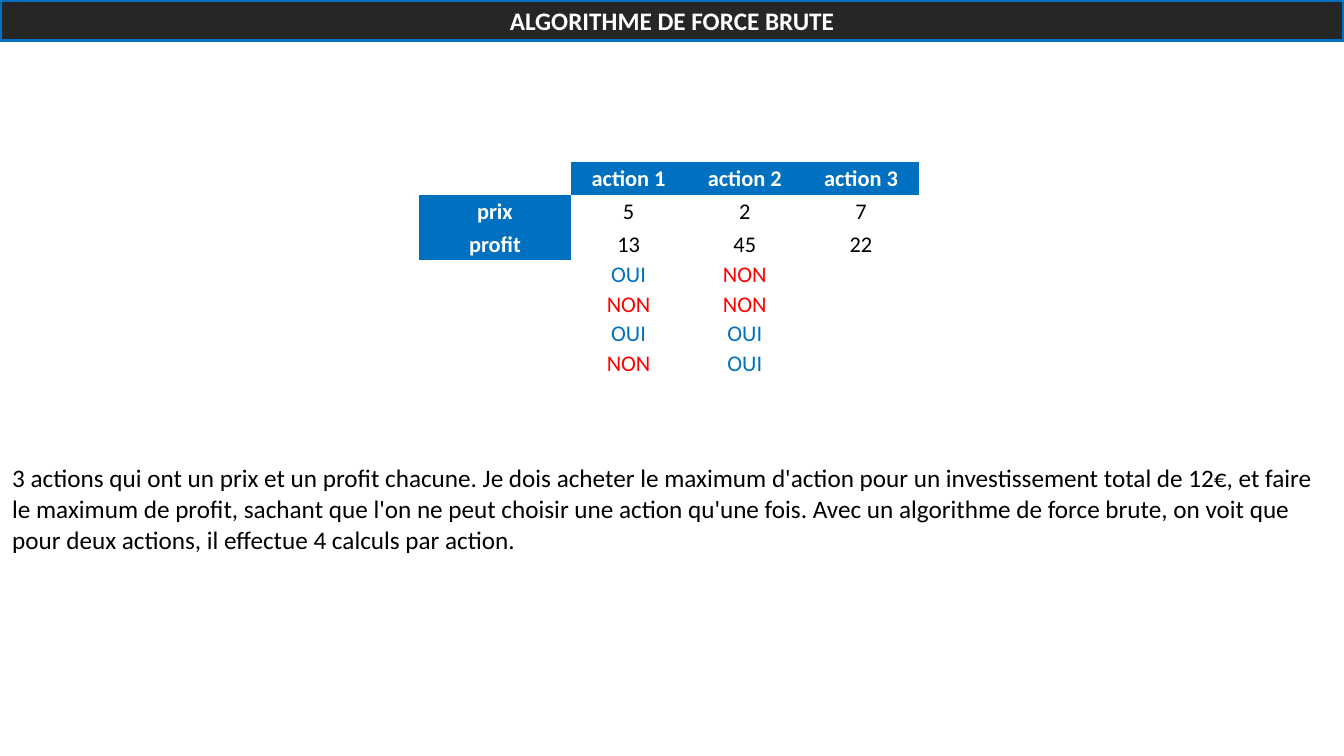
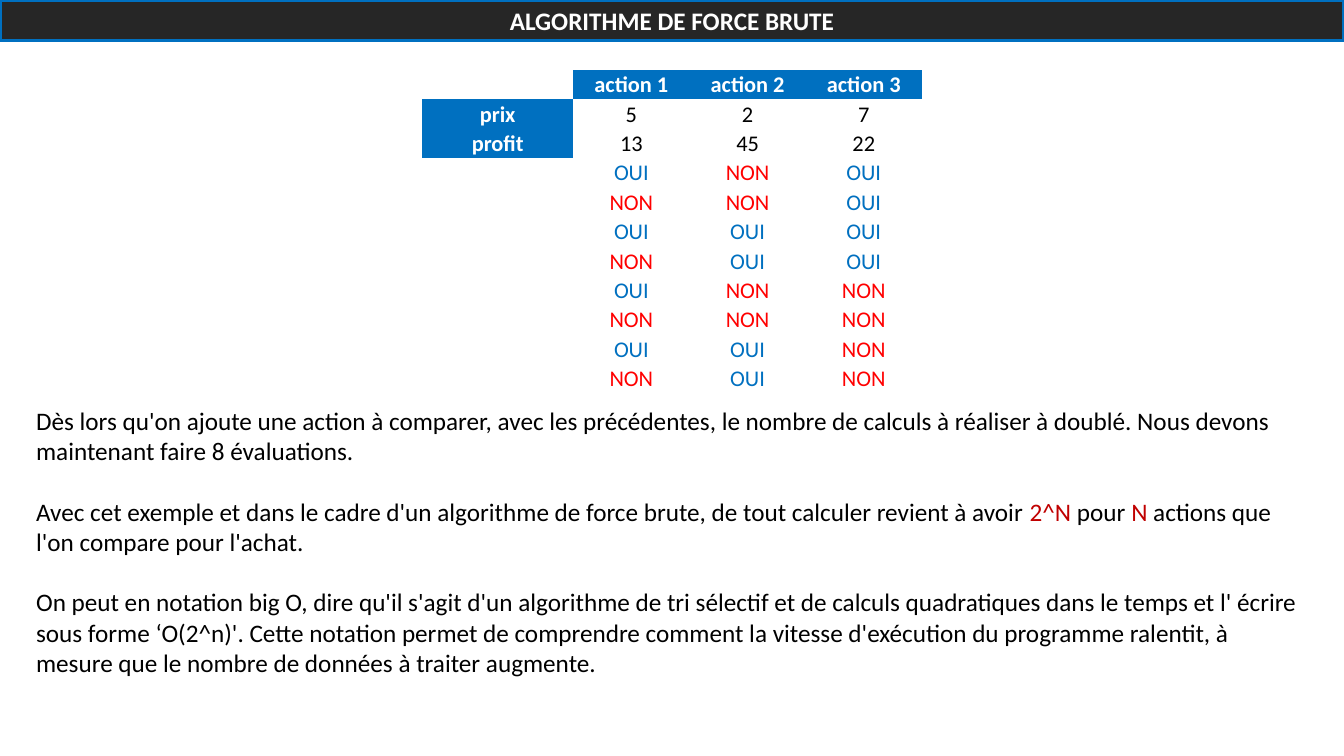
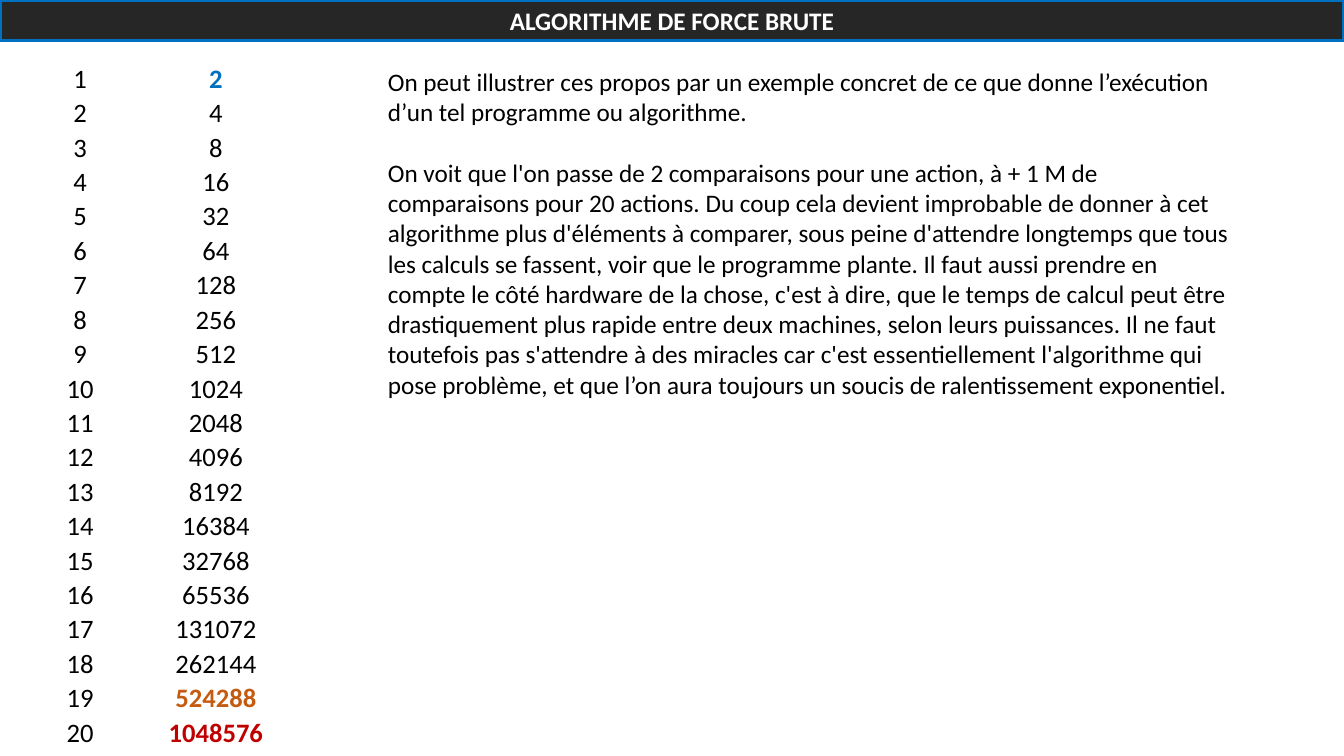
from itertools import product
from typing import NamedTuple, Optional

from pptx import Presentation
from pptx.dml.color import RGBColor
from pptx.enum.text import MSO_ANCHOR, MSO_AUTO_SIZE, PP_ALIGN
from pptx.oxml.ns import qn
from pptx.util import Pt

FONT = "Calibri"
BLACK = RGBColor(0x00, 0x00, 0x00)
WHITE = RGBColor(0xFF, 0xFF, 0xFF)
CHARCOAL = RGBColor(0x26, 0x26, 0x26)
BLUE = RGBColor(0x00, 0x70, 0xC0)
RED = RGBColor(0xFF, 0x00, 0x00)
DARK_RED = RGBColor(0xC0, 0x00, 0x00)
ORANGE = RGBColor(0xC5, 0x5A, 0x11)

SLIDE_WIDTH = 960
SLIDE_HEIGHT = 540
BODY_SIZE = 18
PLAIN_TABLE_STYLE = "{2D5ABB26-0587-4C30-8999-92F81FD0307C}"
TITLE_ONLY_LAYOUT = 5

TITLE = "ALGORITHME DE FORCE BRUTE"
CHOICE_COLORS = {"OUI": BLUE, "NON": RED}
ACTION_COLUMNS = [108, 83, 83, 83]

PROBLEM = (
    "3 actions qui ont un prix et un profit chacune. Je dois acheter le maximum "
    "d'action pour un investissement total de 12€, et faire le maximum de profit, "
    "sachant que l'on ne peut choisir une action qu'une fois. Avec un algorithme de "
    "force brute, on voit que pour deux actions, il effectue 4 calculs par action."
)
# Each paragraph is a list of (text, colour) runs.
GROWTH = [
    [("Dès lors qu'on ajoute une action à comparer, avec les précédentes, le nombre "
      "de calculs à réaliser à doublé. Nous devons maintenant faire 8 évaluations.",
      BLACK)],
    [("Avec cet exemple et dans le cadre d'un algorithme de force brute, de tout "
      "calculer revient à avoir ", BLACK),
     ("2^N", DARK_RED), (" pour ", BLACK), ("N", DARK_RED),
     (" actions que l'on compare pour l'achat.", BLACK)],
    [("On peut en notation big O, dire qu'il s'agit d'un algorithme de tri sélectif "
      "et de calculs quadratiques dans le temps et l' écrire sous forme ‘O(2^n)'. "
      "Cette notation permet de comprendre comment la vitesse d'exécution du "
      "programme ralentit, à mesure que le nombre de données à traiter augmente.",
      BLACK)],
]
EXAMPLE = [
    [("On peut illustrer ces propos par un exemple concret de ce que donne "
      "l’exécution d’un tel programme ou algorithme.", BLACK)],
    [("On voit que l'on passe de 2 comparaisons pour une action, à + 1 M de "
      "comparaisons pour 20 actions. Du coup cela devient improbable de donner à cet "
      "algorithme plus d'éléments à comparer, sous peine d'attendre longtemps que "
      "tous les calculs se fassent, voir que le programme plante. Il faut aussi "
      "prendre en compte le côté hardware de la chose, c'est à dire, que le temps de "
      "calcul peut être drastiquement plus rapide entre deux machines, selon leurs "
      "puissances. Il ne faut toutefois pas s'attendre à des miracles car c'est "
      "essentiellement l'algorithme qui pose problème, et que l’on aura toujours un "
      "soucis de ralentissement exponentiel.", BLACK)],
]


class Cell(NamedTuple):
    """Text and look of one table cell."""
    text: str = ""
    color: RGBColor = BLACK
    bold: bool = False
    fill: Optional[RGBColor] = None


def set_font(font, size, color=BLACK, bold=False):
    """Give a font its family, size, colour and weight."""
    font.name = FONT
    font.size = Pt(size)
    font.bold = bold
    font.color.rgb = color


def add_titled_slide(presentation):
    """Add a slide whose title is a dark band across the top."""
    layout = presentation.slide_layouts[TITLE_ONLY_LAYOUT]
    slide = presentation.slides.add_slide(layout)
    title = slide.shapes.title
    title.left, title.top = Pt(0), Pt(0)
    title.width, title.height = Pt(SLIDE_WIDTH), Pt(29)
    title.fill.solid()
    title.fill.fore_color.rgb = CHARCOAL
    title.line.color.rgb = BLUE
    title.line.width = Pt(2.25)
    frame = title.text_frame
    frame.text = TITLE
    frame.auto_size = MSO_AUTO_SIZE.NONE
    frame.vertical_anchor = MSO_ANCHOR.MIDDLE
    paragraph = frame.paragraphs[0]
    paragraph.alignment = PP_ALIGN.CENTER
    set_font(paragraph.font, 18, WHITE, bold=True)
    return slide


def fill_cell(table_cell, content, size, alignment):
    """Write one cell with tight margins and its own fill."""
    table_cell.margin_left = table_cell.margin_right = Pt(0.7)
    table_cell.margin_top, table_cell.margin_bottom = Pt(0.7), Pt(0)
    table_cell.vertical_anchor = MSO_ANCHOR.MIDDLE
    if content.fill is None:
        table_cell.fill.background()
    else:
        table_cell.fill.solid()
        table_cell.fill.fore_color.rgb = content.fill
    table_cell.text = content.text
    paragraph = table_cell.text_frame.paragraphs[0]
    paragraph.alignment = alignment
    set_font(paragraph.font, size, content.color, content.bold)


def add_plain_table(slide, left, top, widths, heights, rows, size,
                    alignment=PP_ALIGN.CENTER):
    """Add a table without borders or banding from rows of Cell."""
    frame = slide.shapes.add_table(len(rows), len(widths), Pt(left), Pt(top),
                                   Pt(sum(widths)), Pt(sum(heights)))
    table = frame.table
    table.first_row = table.horz_banding = False
    table._tbl.tblPr.find(qn("a:tableStyleId")).text = PLAIN_TABLE_STYLE
    for column, width in zip(table.columns, widths):
        column.width = Pt(width)
    for row, height, contents in zip(table.rows, heights, rows):
        row.height = Pt(height)
        for table_cell, content in zip(row.cells, contents):
            fill_cell(table_cell, content, size, alignment)


def add_text(slide, left, top, width, height, paragraphs):
    """Add a text box with one blank line's space between paragraphs."""
    frame = slide.shapes.add_textbox(Pt(left), Pt(top), Pt(width),
                                     Pt(height)).text_frame
    frame.word_wrap = True
    for index, runs in enumerate(paragraphs):
        paragraph = frame.add_paragraph() if index else frame.paragraphs[0]
        if index:
            paragraph.space_before = Pt(21.6)
        set_font(paragraph.font, BODY_SIZE)
        for text, color in runs:
            run = paragraph.add_run()
            run.text = text
            if color != BLACK:
                run.font.color.rgb = color


def action_rows(third_choices):
    """List prices, profits and every combination of choices."""
    def header(text):
        return Cell(text, WHITE, True, BLUE)

    rows = [
        [Cell()] + [header(f"action {number}") for number in (1, 2, 3)],
        [header("prix")] + [Cell(price) for price in ("5", "2", "7")],
        [header("profit")] + [Cell(profit) for profit in ("13", "45", "22")],
    ]
    for third, second, first in product(third_choices, ("NON", "OUI"),
                                        ("OUI", "NON")):
        rows.append([Cell()] + [Cell(choice, CHOICE_COLORS.get(choice, BLACK))
                                for choice in (first, second, third)])
    return rows


def power_rows():
    """List the powers of two from 1 to 20, with the notable ones coloured."""
    highlights = {1: BLUE, 19: ORANGE, 20: DARK_RED}
    return [[Cell(str(count)),
             Cell(str(2 ** count), highlights.get(count, BLACK), count in highlights)]
            for count in range(1, 21)]


def add_two_action_slide(presentation):
    """Show the four combinations of two actions."""
    slide = add_titled_slide(presentation)
    add_plain_table(slide, 299.5, 116, ACTION_COLUMNS, [23.3] * 3 + [21] * 4,
                    action_rows([""]), 16)
    add_plain_table(slide, 8, 330.5, [940], [65.5], [[Cell(PROBLEM)]], BODY_SIZE,
                    PP_ALIGN.LEFT)


def add_three_action_slide(presentation):
    """Show the eight combinations of three actions."""
    slide = add_titled_slide(presentation)
    add_plain_table(slide, 301.5, 50, ACTION_COLUMNS, [21] * 11,
                    action_rows(["OUI", "NON"]), 16)
    add_text(slide, 18.7, 286, 922.3, 225.4, GROWTH)


def add_power_slide(presentation):
    """Show how the number of comparisons doubles with each action."""
    slide = add_titled_slide(presentation)
    add_plain_table(slide, 8.7, 44, [97, 97], [24.6] * 20, power_rows(), 19)
    add_text(slide, 270, 44, 616.3, 247, EXAMPLE)


def main():
    """Build and save the presentation."""
    presentation = Presentation()
    presentation.slide_width = Pt(SLIDE_WIDTH)
    presentation.slide_height = Pt(SLIDE_HEIGHT)
    add_two_action_slide(presentation)
    add_three_action_slide(presentation)
    add_power_slide(presentation)
    presentation.save("out.pptx")


main()
